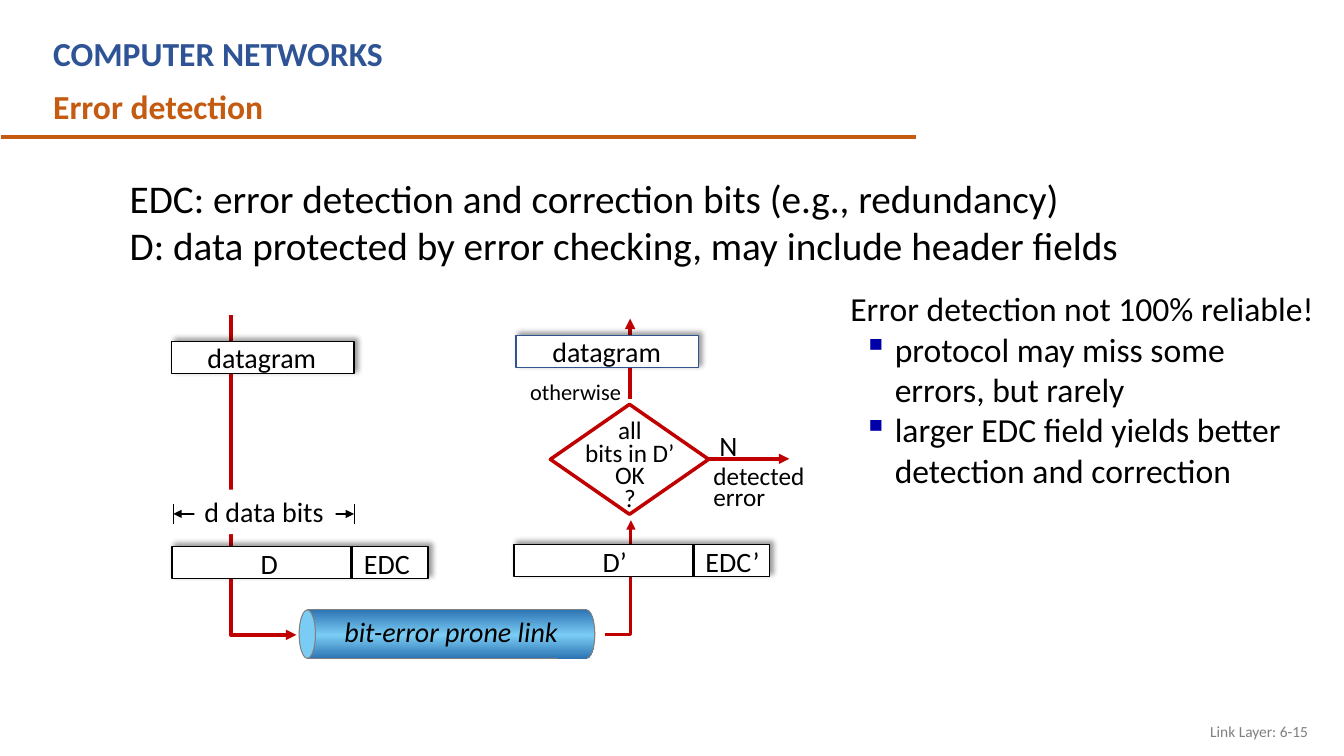
"""Builds the error detection slide of a computer networks course."""
from copy import deepcopy
from dataclasses import dataclass
from typing import Optional

from lxml.etree import SubElement
from pptx import Presentation
from pptx.dml.color import RGBColor
from pptx.enum.shapes import MSO_CONNECTOR, MSO_SHAPE
from pptx.enum.text import MSO_ANCHOR, MSO_AUTO_SIZE, PP_ALIGN
from pptx.oxml.ns import qn
from pptx.util import Cm, Pt


@dataclass(frozen=True)
class Theme:
    """Colours, font and type sizes of the slide."""
    font: str = "Calibri"
    ink: str = "000000"
    paper: str = "FFFFFF"
    flow: str = "C00000"
    course: str = "2F5496"
    topic: str = "C55A11"
    bullet: str = "0000A8"
    footer: str = "7F7F7F"
    received: str = "31538F"
    link_edge: str = "2E75B5"
    link_glow: str = "7ACCF4"
    lead_size: float = 28
    heading_size: float = 24
    label_size: float = 20
    test_size: float = 18
    branch_size: float = 16
    footer_size: float = 11


THEME = Theme()


@dataclass(frozen=True)
class Stroke:
    """A straight or bent line through points in centimetres."""
    points: tuple
    color: str = THEME.flow
    width: float = 2.5
    head: bool = False
    tail: bool = False


@dataclass(frozen=True)
class Box:
    """An outlined or gradient shape."""
    left: float
    top: float
    width: float
    height: float = 0.81
    kind: MSO_SHAPE = MSO_SHAPE.RECTANGLE
    fill: str = THEME.paper
    glow: Optional[str] = None
    line: Optional[str] = THEME.ink
    line_width: float = 1
    shadow: bool = False


@dataclass(frozen=True)
class Label:
    """A text box whose lines share one style."""
    text: str
    left: float
    top: float
    width: float
    height: float = 1.12
    size: float = THEME.label_size
    color: str = THEME.ink
    bold: bool = False
    italic: bool = False
    wrap: bool = False
    align: PP_ALIGN = PP_ALIGN.LEFT
    anchor: MSO_ANCHOR = MSO_ANCHOR.TOP
    spacing: float = 1
    fill: Optional[str] = None
    bulleted: bool = False


FLOWS = [
    Stroke(((5.82, 7.95), (5.82, 16), (7.47, 16)), tail=True),
    Stroke(((15.24, 15.98), (15.9, 15.98), (15.9, 13.11)), width=2.25, tail=True),
    Stroke(((15.88, 10.06), (15.88, 8.03)), tail=True),
]
BOXES = [
    Box(4.32, 8.61, 4.6, shadow=True),
    Box(13, 8.46, 4.6, line=THEME.received, shadow=True),
    Box(4.34, 13.77, 6.45, shadow=True),
    Box(12.95, 13.72, 6.45, shadow=True),
    Box(13.87, 10.19, 3.99, 2.77, MSO_SHAPE.DIAMOND, line=THEME.flow, line_width=2.5),
]
LINK_PARTS = [
    Box(7.75, 15.37, 7.04, 1.22, fill=THEME.link_edge, glow=THEME.link_glow,
        line=THEME.footer, line_width=0.75),
    Box(7.54, 15.37, 0.41, 1.22, MSO_SHAPE.OVAL, fill=THEME.link_glow,
        line=THEME.footer, line_width=0.75),
    Box(14.58, 15.37, 0.41, 1.22, MSO_SHAPE.OVAL, fill=THEME.link_edge,
        glow=THEME.link_glow, line=THEME.footer, line_width=0.75),
    Box(14.05, 15.37, 0.74, 1.22, fill=THEME.link_edge, glow=THEME.link_glow, line=None),
]
MARKS = [
    Stroke(((8.86, 13.77), (8.86, 14.58)), THEME.ink, 1.75),
    Stroke(((17.48, 13.74), (17.48, 14.53)), THEME.ink, 1.75),
    Stroke(((4.37, 12.95), (8.92, 12.95)), THEME.ink, 1.75, head=True, tail=True),
    Stroke(((4.37, 12.7), (4.37, 13.21)), THEME.ink, 0.75),
    Stroke(((8.94, 12.7), (8.94, 13.21)), THEME.ink, 0.75),
    Stroke(((17.88, 11.56), (19.89, 11.56)), tail=True),
    Stroke(((0.03, 3.45), (23.09, 3.45)), THEME.topic, 3),
]
LABELS = [
    Label("COMPUTER NETWORKS", 1.09, 0.71, 20.83, 1.27, THEME.heading_size,
          THEME.course, bold=True, wrap=True),
    Label("Error detection", 1.09, 2.03, 6.05, 1.27, THEME.heading_size,
          THEME.topic, bold=True, wrap=True),
    Label("EDC: error detection and correction bits (e.g., redundancy)\n"
          "D: data protected by error checking, may include header fields",
          3.02, 4.27, 27.41, 2.64, THEME.lead_size, wrap=True),
    Label("Error detection not 100% reliable!\n"
          "protocol may miss some errors, but rarely\n"
          "larger EDC field yields better detection and correction",
          21.18, 7.14, 12.29, 5.38, THEME.heading_size, wrap=True, bulleted=True),
    Label("datagram", 4.98, 8.46, 3.28),
    Label("datagram", 13.67, 8.31, 3.28),
    Label("d data bits", 4.9, 12.34, 3.56, fill=THEME.paper),
    Label("D", 6.32, 13.64, 0.94),
    Label("EDC", 8.92, 13.64, 1.68),
    Label("D’", 14.94, 13.59, 1.12),
    Label("EDC’", 17.53, 13.59, 1.88),
    Label("bit-error prone link", 8.43, 15.37, 5.94, italic=True),
    Label("all\nbits in D’\nOK\n?", 14.48, 10.49, 2.79, 2.59, THEME.test_size,
          align=PP_ALIGN.CENTER, spacing=0.75),
    Label("N", 17.88, 10.67, 0.97),
    Label("detected\nerror", 17.73, 11.68, 2.97, 1.37, THEME.test_size, spacing=0.7),
    Label("otherwise", 13.11, 9.6, 2.84, 0.76, THEME.branch_size, spacing=0.7),
    Label("Link Layer: 6-15", 25.6, 17.91, 7.62, 1.02, THEME.footer_size, THEME.footer,
          wrap=True, align=PP_ALIGN.RIGHT, anchor=MSO_ANCHOR.MIDDLE),
]


def rgb(color: str) -> RGBColor:
    """Turn a hex string into a colour."""
    return RGBColor.from_string(color)


def draw_stroke(shapes, stroke: Stroke) -> None:
    """Draw a connector, or an open outline when the line bends."""
    points = [(Cm(x), Cm(y)) for x, y in stroke.points]
    if len(points) == 2:
        drawn = shapes.add_connector(MSO_CONNECTOR.STRAIGHT, *points[0], *points[1])
        SubElement(drawn.element.spPr, qn("a:effectLst"))
    else:
        builder = shapes.build_freeform(*points[0])
        builder.add_line_segments(points[1:], close=False)
        drawn = builder.convert_to_shape()
        drawn.fill.background()
        drawn.shadow.inherit = False
    drawn.line.color.rgb = rgb(stroke.color)
    drawn.line.width = Pt(stroke.width)
    outline = drawn.element.spPr.find(qn("a:ln"))
    for tag, wanted in (("a:headEnd", stroke.head), ("a:tailEnd", stroke.tail)):
        if wanted:
            SubElement(outline, qn(tag), type="triangle")


def draw_box(shapes, box: Box) -> None:
    """Draw a shape with its fill, outline and shadow."""
    drawn = shapes.add_shape(box.kind, Cm(box.left), Cm(box.top), Cm(box.width), Cm(box.height))
    if box.glow:
        drawn.fill.gradient()
        drawn.fill.gradient_angle = 270
        stop_list = drawn.element.spPr.find(".//" + qn("a:gsLst"))
        stop_list.insert(1, deepcopy(stop_list[0]))
        colors = (box.fill, box.glow, box.fill)
        for stop, position, color in zip(drawn.fill.gradient_stops, (0, 0.52, 1), colors):
            stop.position = position
            stop.color.rgb = rgb(color)
    else:
        drawn.fill.solid()
        drawn.fill.fore_color.rgb = rgb(box.fill)
    if box.line:
        drawn.line.color.rgb = rgb(box.line)
        drawn.line.width = Pt(box.line_width)
    else:
        drawn.line.fill.background()
    drawn.shadow.inherit = False
    if box.shadow:
        effects = drawn.element.spPr.find(qn("a:effectLst"))
        cast = SubElement(effects, qn("a:outerShdw"), blurRad=str(Pt(4)), dist=str(Pt(3)),
                          dir=str(315 * 60000), algn="bl", rotWithShape="0")
        tint = SubElement(cast, qn("a:srgbClr"), val=THEME.ink)
        SubElement(tint, qn("a:alpha"), val="40000")


def add_bullet(paragraph) -> None:
    """Give a paragraph a hanging square bullet."""
    paragraph.level = 1
    properties = paragraph._p.get_or_add_pPr()
    properties.set("marL", str(Cm(1.12)))
    properties.set("indent", str(Cm(-0.79)))
    tint = SubElement(properties, qn("a:buClr"))
    SubElement(tint, qn("a:srgbClr"), val=THEME.bullet)
    SubElement(properties, qn("a:buChar"), char="▪")


def draw_label(shapes, label: Label) -> None:
    """Write a text box and format its paragraphs."""
    drawn = shapes.add_textbox(Cm(label.left), Cm(label.top), Cm(label.width), Cm(label.height))
    if label.fill:
        drawn.fill.solid()
        drawn.fill.fore_color.rgb = rgb(label.fill)
    frame = drawn.text_frame
    frame.text = label.text
    frame.word_wrap = label.wrap
    frame.auto_size = MSO_AUTO_SIZE.NONE
    frame.vertical_anchor = label.anchor
    for index, paragraph in enumerate(frame.paragraphs):
        paragraph.alignment = label.align
        paragraph.line_spacing = label.spacing
        if label.bulleted and index:
            add_bullet(paragraph)
        for run in paragraph.runs:
            run.font.name = THEME.font
            run.font.size = Pt(label.size)
            run.font.color.rgb = rgb(label.color)
            run.font.bold = label.bold
            run.font.italic = label.italic


def main() -> None:
    """Build the slide and save it."""
    deck = Presentation()
    deck.slide_width, deck.slide_height = Cm(33.87), Cm(19.05)
    shapes = deck.slides.add_slide(deck.slide_layouts[6]).shapes
    for draw, parts in ((draw_stroke, FLOWS), (draw_box, BOXES + LINK_PARTS),
                        (draw_stroke, MARKS), (draw_label, LABELS)):
        for part in parts:
            draw(shapes, part)
    deck.save("out.pptx")


if __name__ == "__main__":
    main()
